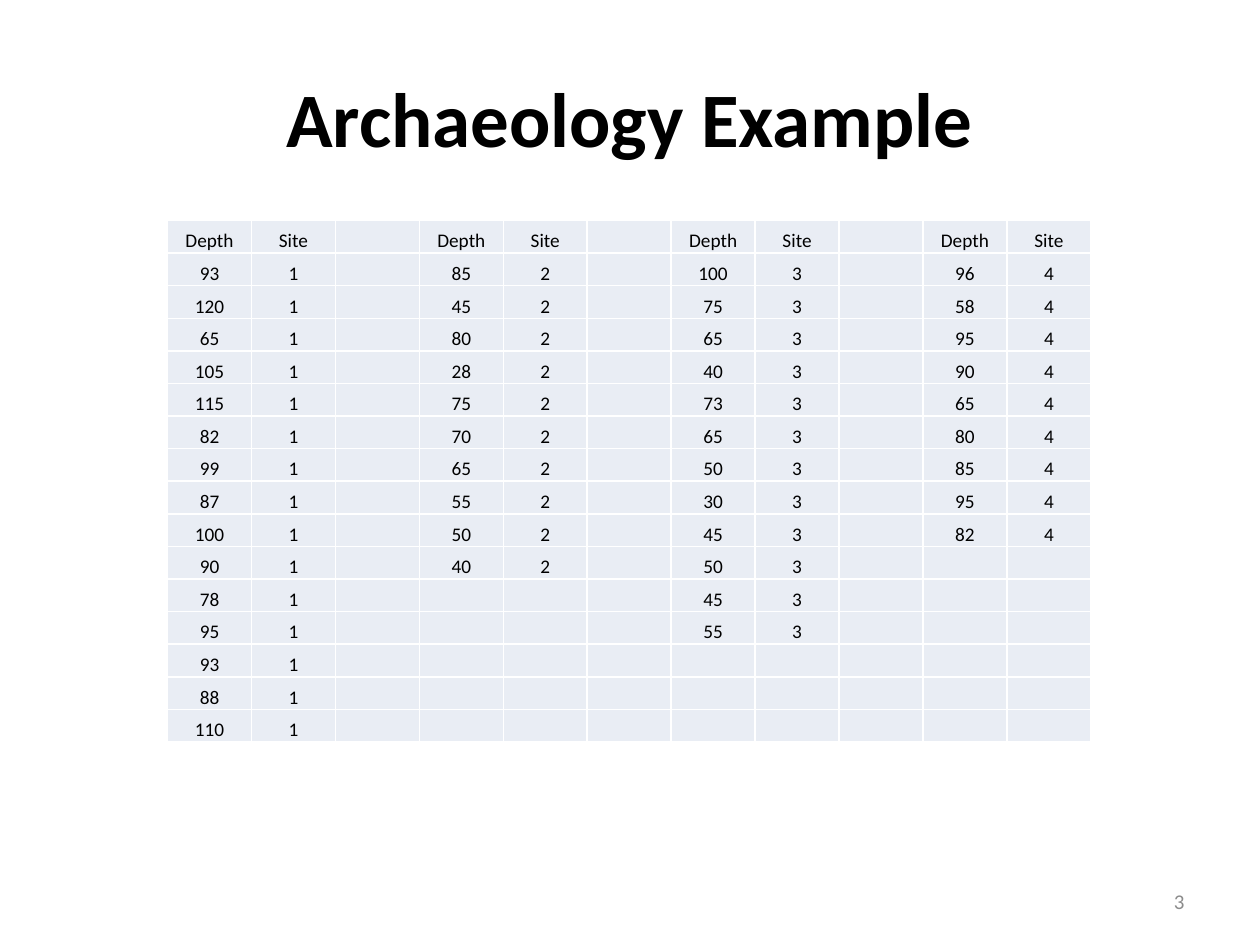
from dataclasses import dataclass

from lxml import etree
from pptx import Presentation, util as u
from pptx.dml.color import RGBColor
from pptx.enum import text
from pptx.oxml import ns


@dataclass(frozen=True)
class Theme:
    font: str = "Calibri"
    ink: str = "000000"
    muted: str = "8C8C8C"
    cell: str = "E9EDF4"
    border: str = "FFFFFF"
    title_size: int = 44
    cell_size: int = 11
    number_size: int = 12


THEME = Theme()
DEPTHS_BY_SITE = {
    1: [93, 120, 65, 105, 115, 82, 99, 87, 100, 90, 78, 95, 93, 88, 110],
    2: [85, 45, 80, 28, 75, 70, 65, 55, 50, 40],
    3: [100, 75, 65, 40, 73, 65, 50, 30, 45, 50, 45, 55],
    4: [96, 58, 95, 90, 65, 80, 85, 95, 82],
}
COLUMNS_PER_SITE = 3  # depth, site and a spacer


def style_paragraph(para, size, color, align, bold=False):
    para.alignment = align
    para.font.name = THEME.font
    para.font.size = u.Pt(size)
    para.font.bold = bold
    para.font.color.rgb = RGBColor.from_string(color)


def add_title(page, wording):
    title = page.shapes.title
    title.left, title.top = u.Inches(0.5), u.Inches(0.3)
    title.width, title.height = u.Inches(9), u.Inches(1.25)
    title.text_frame.text = wording
    title.text_frame.vertical_anchor = text.MSO_ANCHOR.MIDDLE
    style_paragraph(title.text_frame.paragraphs[0], THEME.title_size,
                    THEME.ink, text.PP_ALIGN.CENTER, bold=True)


def add_borders(cell):
    properties = cell._tc.get_or_add_tcPr()
    for side in ("lnL", "lnR", "lnT", "lnB"):
        line = etree.SubElement(properties, ns.qn(f"a:{side}"), w=str(u.Pt(1)))
        fill = etree.SubElement(line, ns.qn("a:solidFill"))
        etree.SubElement(fill, ns.qn("a:srgbClr"), val=THEME.border)


def format_cell(cell):
    add_borders(cell)
    cell.fill.solid()
    cell.fill.fore_color.rgb = RGBColor.from_string(THEME.cell)
    cell.margin_left = cell.margin_right = cell.margin_top = u.Inches(0.01)
    cell.margin_bottom = 0
    cell.vertical_anchor = text.MSO_ANCHOR.BOTTOM
    para = cell.text_frame.paragraphs[0]
    style_paragraph(para, THEME.cell_size, THEME.ink, text.PP_ALIGN.CENTER)
    if not cell.text:
        # An empty cell takes its line height from the end mark.
        etree.SubElement(para._p, ns.qn("a:endParaRPr"),
                         sz=str(THEME.cell_size * 100))


def add_depth_table(page, depths_by_site):
    row_count = 1 + max(map(len, depths_by_site.values()))
    column_count = COLUMNS_PER_SITE * len(depths_by_site) - 1
    table = page.shapes.add_table(
        row_count, column_count, u.Inches(1.33), u.Inches(1.75),
        u.Inches(7.33), u.Inches(4.14)).table
    table.first_row = table.horz_banding = False

    for index, (site, depths) in enumerate(depths_by_site.items()):
        column = index * COLUMNS_PER_SITE
        pairs = [("Depth", "Site")] + [(depth, site) for depth in depths]
        for row, pair in enumerate(pairs):
            for offset, value in enumerate(pair):
                table.cell(row, column + offset).text = str(value)

    for cell in table.iter_cells():
        format_cell(cell)


def add_page_number(page, number):
    box = page.shapes.add_textbox(u.Inches(7.17), u.Inches(6.95),
                                  u.Inches(2.33), u.Inches(0.4))
    frame = box.text_frame
    frame.word_wrap = True
    frame.vertical_anchor = text.MSO_ANCHOR.MIDDLE
    frame.text = str(number)
    style_paragraph(frame.paragraphs[0], THEME.number_size, THEME.muted,
                    text.PP_ALIGN.RIGHT)


def main():
    deck = Presentation()
    deck.slide_width, deck.slide_height = u.Inches(10), u.Inches(7.5)
    page = deck.slides.add_slide(deck.slide_layouts.get_by_name("Title Only"))
    add_title(page, "Archaeology Example")
    add_depth_table(page, DEPTHS_BY_SITE)
    add_page_number(page, 3)
    deck.save("out.pptx")


if __name__ == "__main__":
    main()
